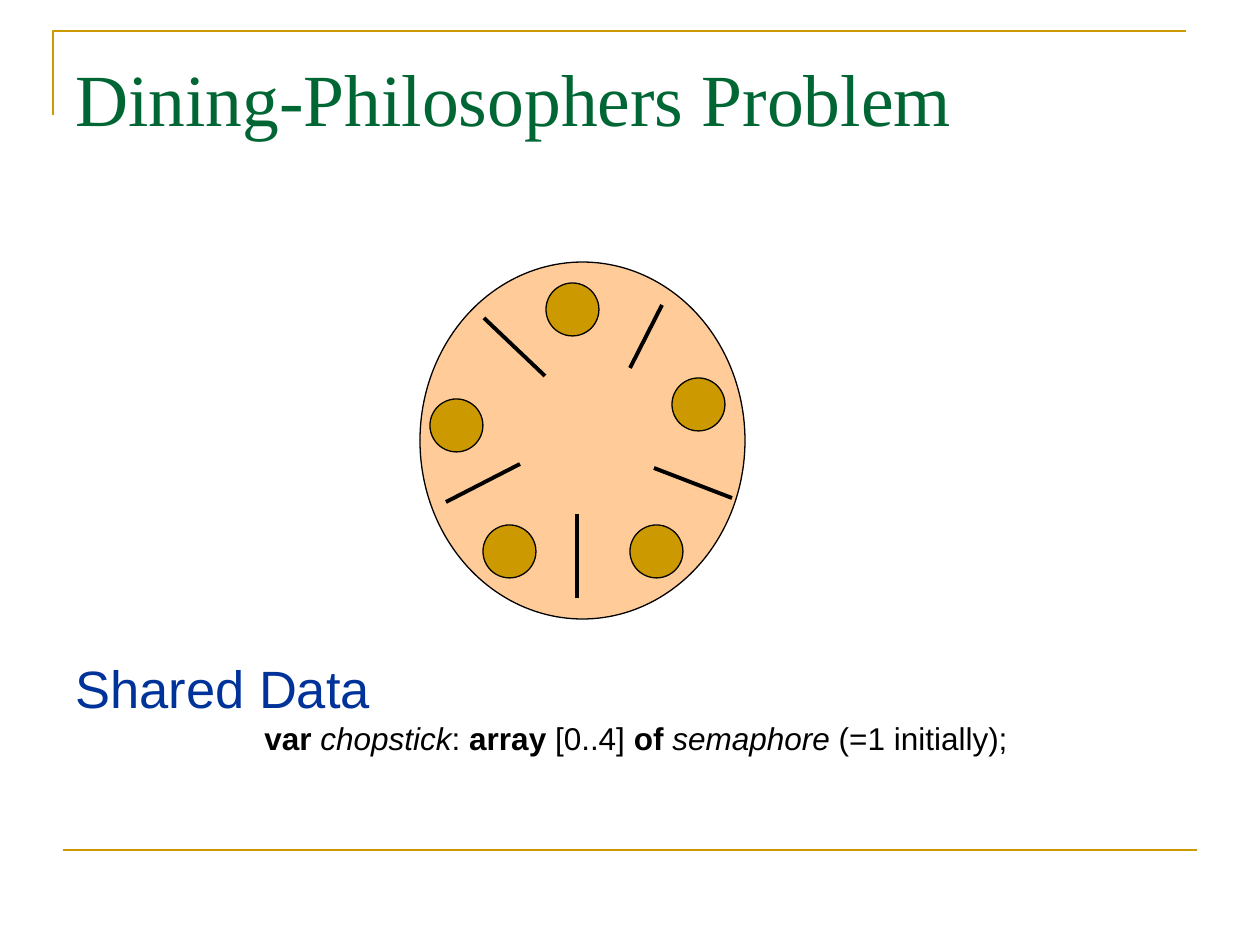
"""Build the Dining-Philosophers Problem slide."""
from pptx import Presentation
from pptx.dml.color import RGBColor
from pptx.enum.shapes import MSO_CONNECTOR as Conn, MSO_SHAPE as Kind
from pptx.oxml.ns import qn
from pptx.util import Pt
from lxml.etree import SubElement

PX = 914400 / 126
GOLD = RGBColor(0xCC, 0x99, 0x00)
PEACH = RGBColor(0xFF, 0xCC, 0x99)
GREEN = RGBColor(0x00, 0x66, 0x33)
BLUE = RGBColor(0x00, 0x33, 0x99)
BLACK = RGBColor(0x00, 0x00, 0x00)


def emu(*nums):
    return [round(n * PX) for n in nums]


def write(para, text, face, size, color, bold=False, slant=False):
    run = para.add_run()
    run.text = text
    font = run.font
    font.name, font.size = face, Pt(size)
    font.bold, font.italic = bold, slant
    font.color.rgb = color


deck = Presentation()
deck.slide_width, deck.slide_height = emu(1260, 945)
slide = deck.slides.add_slide(deck.slide_layouts[6])
shapes = slide.shapes

pen = shapes.build_freeform(53, 115, scale=PX)
pen.add_line_segments([(53, 31), (1186, 31)], close=False)
frame = pen.convert_to_shape()
frame.shadow.inherit = False
frame.fill.background()
frame.line.color.rgb = GOLD
frame.line.width = Pt(1.5)

title = shapes.add_textbox(*emu(63, 47, 1134, 100)).text_frame
title.word_wrap = True
write(title.paragraphs[0], "Dining-Philosophers Problem", "Times New Roman", 42, GREEN)

body = shapes.add_textbox(*emu(63, 662, 1126, 120)).text_frame
body.word_wrap = True
head = body.paragraphs[0]
head.line_spacing = 0.8
write(head, "Shared Data", "Arial", 30, BLUE)

code = body.add_paragraph()
code.line_spacing = 0.8
code.space_before = Pt(4.5)
left, hang = emu(220, -31)
props = code._p.get_or_add_pPr()
props.set("marL", str(left))
props.set("indent", str(hang))
for text, bold, slant in [
    ("var", True, False),
    (" chopstick", False, True),
    (": ", False, False),
    ("array", True, False),
    (" [0..4] ", False, False),
    ("of ", True, False),
    ("semaphore", False, True),
    (" (=1 initially);", False, False),
]:
    write(code, text, "Arial", 18, BLACK, bold, slant)

table = (420, 262, 325, 357, PEACH)
plates = [(x, y, 53, 53, GOLD) for x, y in
          [(430, 399), (483, 525), (630, 525), (672, 378), (546, 283)]]
for x, y, wide, high, color in [table, *plates]:
    disc = shapes.add_shape(Kind.OVAL, *emu(x, y, wide, high))
    disc.shadow.inherit = False
    disc.fill.solid()
    disc.fill.fore_color.rgb = color
    disc.line.color.rgb = BLACK
    disc.line.width = Pt(0.75)

rule = (63, 850, 1197, 850, GOLD, 1.5)
sticks = [(*ends, BLACK, 2.25) for ends in [
    (577, 514, 577, 598),
    (520, 464, 446, 502),
    (545, 376, 484, 318),
    (662, 305, 630, 368),
    (654, 468, 732, 498),
]]
for *ends, color, width in [rule, *sticks]:
    line = shapes.add_connector(Conn.STRAIGHT, *emu(*ends))
    line.line.color.rgb = color
    line.line.width = Pt(width)
    SubElement(line._element.spPr, qn("a:effectLst"))

deck.save("out.pptx")
